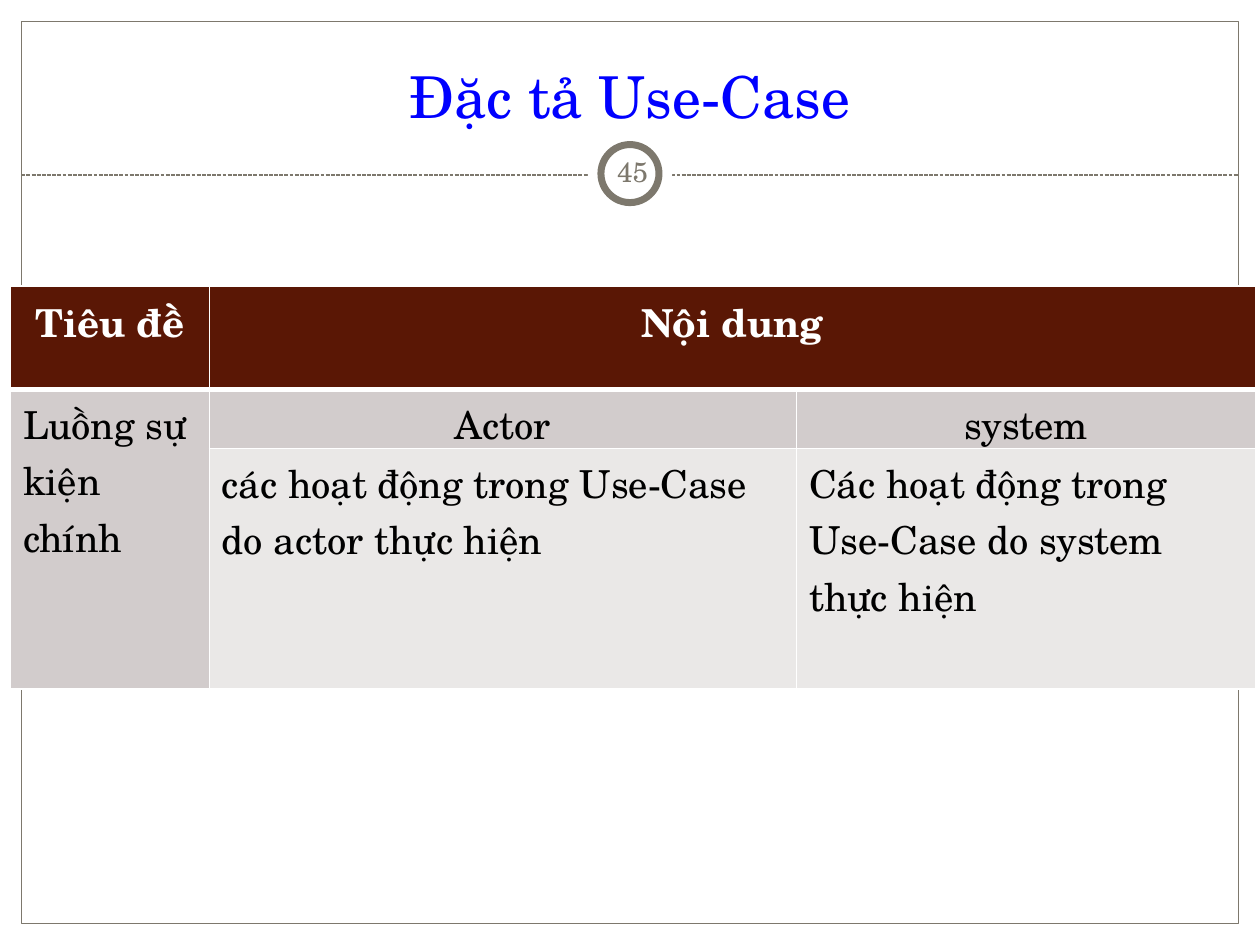
"""Build the use-case specification slide with its event-flow table."""
from lxml import etree
from pptx import Presentation
from pptx.dml.color import RGBColor
from pptx.enum import dml, shapes, text
from pptx.oxml.ns import qn
from pptx.util import Cm, Pt

FONT = "TeX Gyre Schola"
WHITE = RGBColor(0xFF, 0xFF, 0xFF)
BLACK = RGBColor(0, 0, 0)
BLUE = RGBColor(0, 0, 0xFF)
GRAY = RGBColor(0x7D, 0x78, 0x6D)
MAROON = RGBColor(0x5A, 0x17, 0x05)
DARK_BAND = RGBColor(0xD2, 0xCC, 0xCC)
LIGHT_BAND = RGBColor(0xEA, 0xE8, 0xE7)
LEFT, CENTER = text.PP_ALIGN.LEFT, text.PP_ALIGN.CENTER

TITLE = "Đặc tả Use-Case"
PAGE_NUMBER = "45"
COLUMN_WIDTHS = (4.01, 11.84, 9.25)
ROW_HEIGHTS = (2.08, 1.19, 4.85)
CELLS = [
    (0, 0, "Tiêu đề", CENTER),
    (0, 1, "Nội dung", CENTER),
    (1, 0, "Luồng sự kiện chính", LEFT),
    (1, 1, "Actor", CENTER),
    (1, 2, "system", CENTER),
    (2, 1, "các hoạt động trong Use-Case do actor thực hiện", LEFT),
    (2, 2, "Các hoạt động trong Use-Case do system thực hiện", LEFT),
]
ROW_FILLS = (MAROON, DARK_BAND, LIGHT_BAND)
MERGES = [((0, 1), (0, 2)), ((1, 0), (2, 0))]

SLIDE_WIDTH, SLIDE_HEIGHT = 25.4, 19.05
MARGIN = 0.43
RULE_Y = 3.53


def write(frame, content, size, color, alignment=CENTER, bold=False):
    frame.word_wrap = True
    paragraph = frame.paragraphs[0]
    paragraph.text = content
    paragraph.alignment = alignment
    font = paragraph.font
    font.name, font.size, font.bold = FONT, Pt(size), bold
    font.color.rgb = color


def add_text(slide, box, content, size, color, anchor, inset):
    frame = slide.shapes.add_textbox(*map(Cm, box)).text_frame
    frame.vertical_anchor = anchor
    frame.margin_left = frame.margin_right = Cm(inset)
    frame.margin_top = frame.margin_bottom = Cm(0.13)
    write(frame, content, size, color)


def add_outline(slide, kind, box, fill=None, line_width=None):
    shape = slide.shapes.add_shape(kind, *map(Cm, box))
    shape.shadow.inherit = False
    if fill is None:
        shape.fill.background()
    else:
        shape.fill.solid()
        shape.fill.fore_color.rgb = fill
    if line_width is None:
        shape.line.fill.background()
    else:
        shape.line.color.rgb = GRAY
        shape.line.width = Pt(line_width)


def add_rule(slide):
    rule = slide.shapes.add_connector(
        shapes.MSO_CONNECTOR.STRAIGHT,
        Cm(MARGIN), Cm(RULE_Y), Cm(SLIDE_WIDTH - MARGIN), Cm(RULE_Y))
    rule.line.color.rgb = GRAY
    rule.line.width = Pt(0.75)
    rule.line.dash_style = dml.MSO_LINE.SQUARE_DOT
    properties = rule.element.spPr
    etree.SubElement(properties, qn("a:effectLst"))


def set_borders(cell, widths):
    properties = cell._tc.get_or_add_tcPr()
    for index, (side, width) in enumerate(widths.items()):
        line = etree.Element(qn(f"a:ln{side}"), w=str(Pt(width)))
        fill = etree.SubElement(line, qn("a:solidFill"))
        etree.SubElement(fill, qn("a:srgbClr"), val=str(WHITE))
        properties.insert(index, line)


def add_flow_table(slide):
    table = slide.shapes.add_table(
        len(ROW_HEIGHTS), len(COLUMN_WIDTHS), Cm(0.21), Cm(5.77),
        Cm(sum(COLUMN_WIDTHS)), Cm(sum(ROW_HEIGHTS))).table
    table.first_row = table.horz_banding = False
    for column, width in zip(table.columns, COLUMN_WIDTHS):
        column.width = Cm(width)
    for index, (row, height) in enumerate(zip(table.rows, ROW_HEIGHTS)):
        row.height = Cm(height)
        for column_index, cell in enumerate(row.cells):
            cell.fill.solid()
            fill_row = min(index, 1) if column_index == 0 else index
            cell.fill.fore_color.rgb = ROW_FILLS[fill_row]
            set_borders(cell, {"L": 1, "R": 1, "T": 3 if index == 1 else 1,
                               "B": 3 if index == 0 else 1})
    for first, last in MERGES:
        table.cell(*first).merge(table.cell(*last))
    for row, column, content, alignment in CELLS:
        header = row == 0
        write(table.cell(row, column).text_frame, content, 22,
              WHITE if header else BLACK, alignment, header)


def main():
    presentation = Presentation()
    presentation.slide_width = Cm(SLIDE_WIDTH)
    presentation.slide_height = Cm(SLIDE_HEIGHT)
    slide = presentation.slides.add_slide(presentation.slide_layouts[6])
    add_outline(slide, shapes.MSO_SHAPE.RECTANGLE,
                (MARGIN, MARGIN, SLIDE_WIDTH - 2 * MARGIN,
                 SLIDE_HEIGHT - 2 * MARGIN), line_width=0.75)
    add_rule(slide)
    for diameter, line_width in ((1.7, None), (1.17, 4)):
        box = ((SLIDE_WIDTH - diameter) / 2, RULE_Y - 0.03 - diameter / 2,
               diameter, diameter)
        add_outline(slide, shapes.MSO_SHAPE.OVAL, box, WHITE, line_width)
    add_text(slide, (0.85, 0.64, 23.7, 2.12), TITLE, 33, BLUE,
             text.MSO_ANCHOR.BOTTOM, 0.25)
    add_flow_table(slide)
    add_text(slide, (12.12, 2.84, 1.27, 1.22), PAGE_NUMBER, 16, GRAY,
             text.MSO_ANCHOR.MIDDLE, 0.13)
    presentation.save("out.pptx")


if __name__ == "__main__":
    main()
